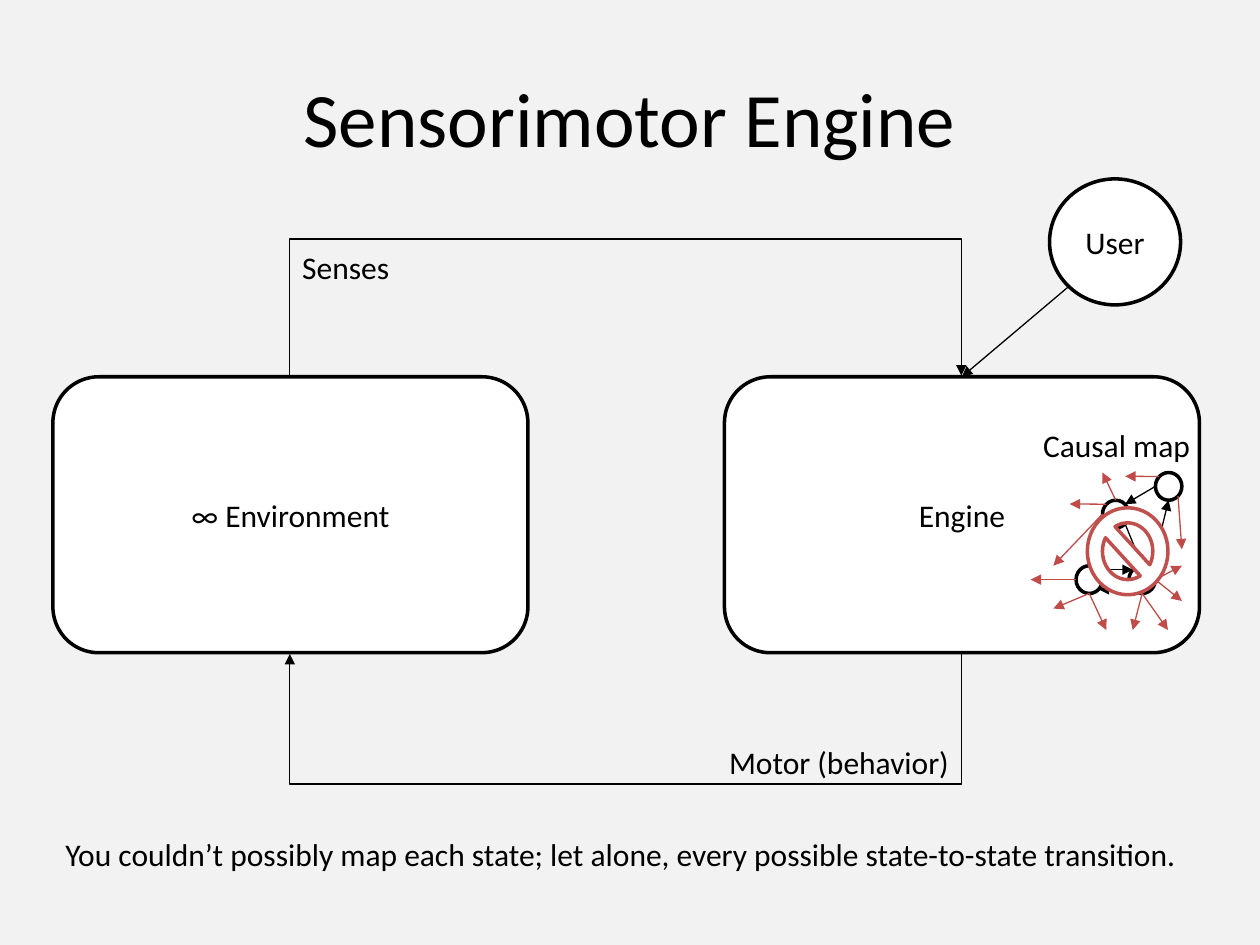
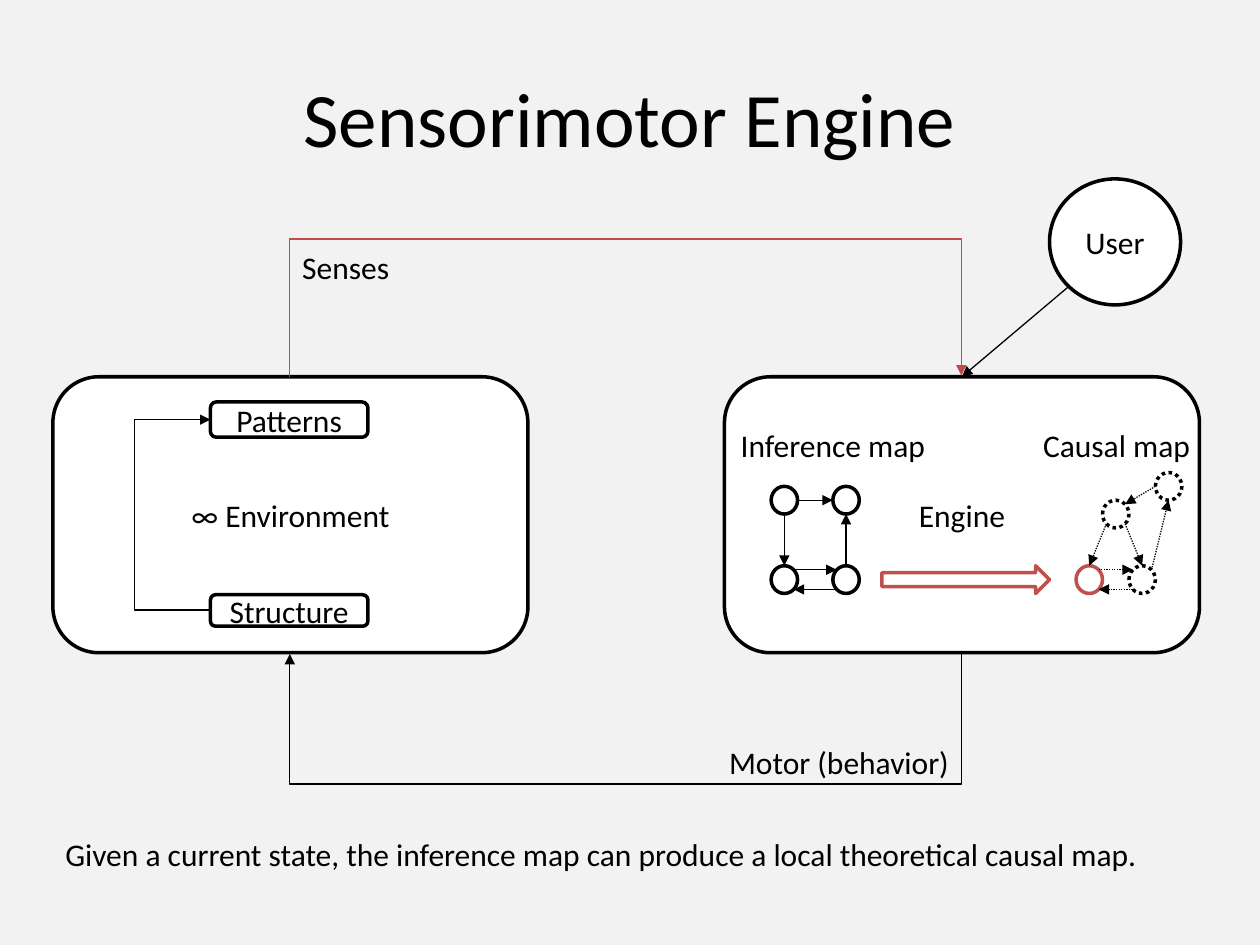
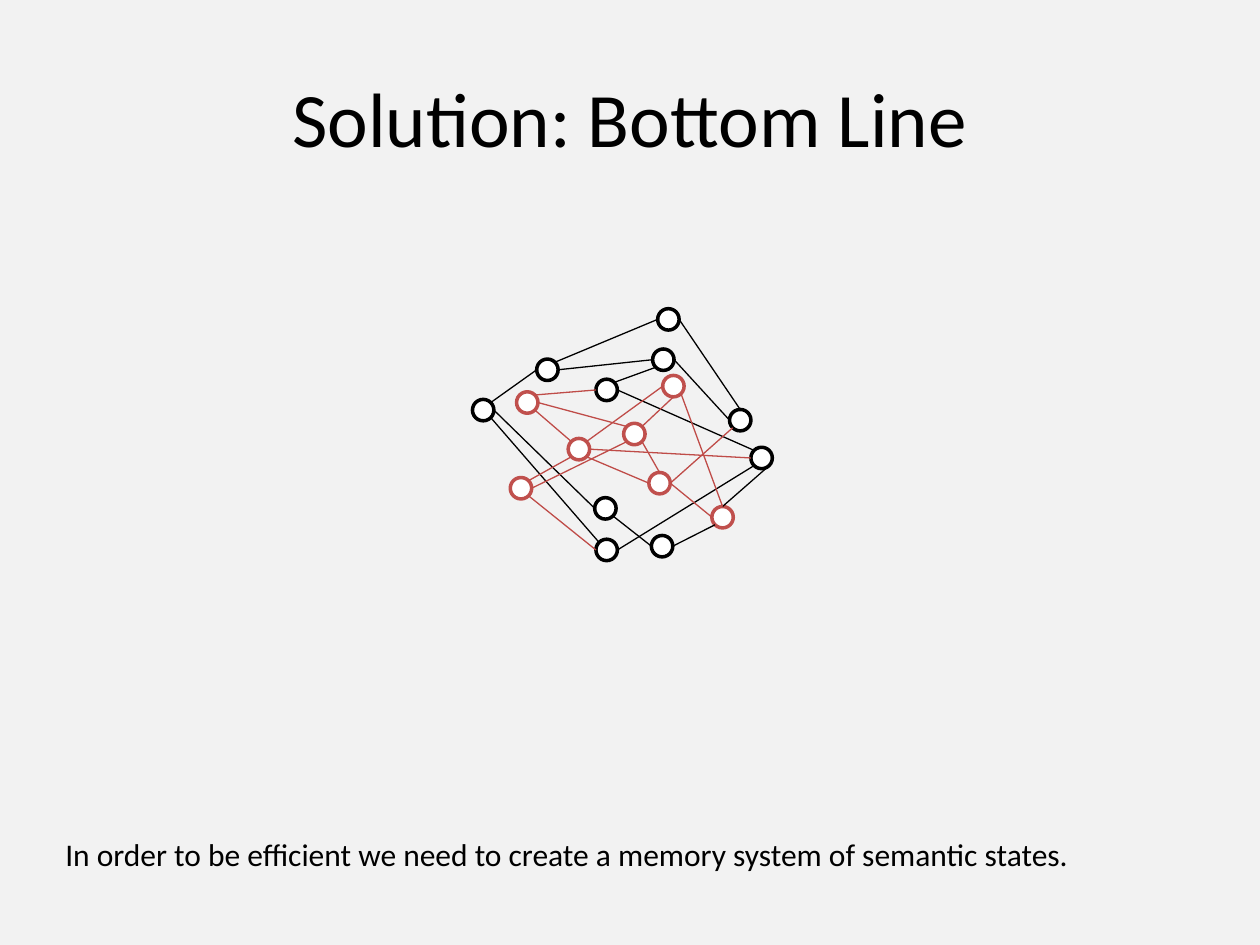
from lxml import etree
from pptx import Presentation, util as u
from pptx.dml.color import RGBColor
from pptx.enum import dml, shapes, text
from pptx.oxml import ns

BLACK = RGBColor(0x00, 0x00, 0x00)
WHITE = RGBColor(0xFF, 0xFF, 0xFF)
PAPER = RGBColor(0xF2, 0xF2, 0xF2)
RED = RGBColor(0xC0, 0x50, 0x4D)
RED_LINK = RGBColor(0xBF, 0x4C, 0x48)

KIND = shapes.MSO_SHAPE
CENTER = text.PP_ALIGN.CENTER
LEFT = text.PP_ALIGN.LEFT
RIGHT = text.PP_ALIGN.RIGHT
DOTTED = dml.MSO_LINE.ROUND_DOT
FONT = {"name": "Calibri", "bold": False, "italic": False}

DIAGONAL = 0.71
SITES = {
    "n": (0, -1), "e": (1, 0), "s": (0, 1), "w": (-1, 0),
    "ne": (DIAGONAL, -DIAGONAL), "se": (DIAGONAL, DIAGONAL),
    "sw": (-DIAGONAL, DIAGONAL), "nw": (-DIAGONAL, -DIAGONAL),
}

STATE = (0.21, 0.22)
CAUSAL_STATES = {"top": (8.75, 3.97), "right": (8.96, 4.49), "left": (8.54, 4.49), "far": (9.17, 3.75)}
CAUSAL_LINKS = [
    "top.se right.n", "top.sw left.n", "left.ne right.nw",
    "right.sw left.se", "right.ne far.s", "far.w top.ne",
]
ESCAPES = [
    ("left.w", 8.18, 4.6), ("left.s", 8.36, 4.83), ("left.s", 8.78, 5),
    ("right.s", 9.27, 5), ("right.s", 8.99, 5),
    ("right.e", 9.38, 4.77), ("right.e", 9.38, 4.49),
    ("top.w", 8.36, 4.49), ("top.nw", 8.49, 4), ("top.n", 8.75, 3.75),
    ("far.se", 9.38, 4.36), ("far.nw", 8.93, 3.78),
]
INFERENCE_STATES = {"a": (6.12, 3.86), "b": (6.61, 3.86), "c": (6.12, 4.49), "d": (6.61, 4.49)}
INFERENCE_LINKS = ["a.e b.w", "a.s c.n", "c.ne d.nw", "d.sw c.se", "d.n b.s"]

MEMORY = (0.17, 0.17)
PLAIN_MEMORIES = {
    "B": (3.75, 3.17), "D": (4.73, 3.01), "F": (4.26, 2.85), "H": (4.72, 3.95),
    "I": (4.73, 4.28), "J": (5.18, 2.77), "L": (5.22, 2.45), "N": (5.96, 3.55),
    "O": (5.17, 4.25), "P": (5.79, 3.25),
}
SEMANTIC_MEMORIES = {
    "A": (4.1, 3.11), "C": (4.05, 3.79), "E": (4.95, 3.36), "G": (4.51, 3.48),
    "K": (5.26, 2.98), "M": (5.15, 3.75), "Q": (5.65, 4.02),
}
PLAIN_LINKS = [
    "B.e H.w", "B.se I.nw", "B.ne F.w", "J.sw D.ne", "I.e N.sw", "D.e N.nw", "O.w H.se",
    "J.w F.e", "L.w F.ne", "Q.n N.se", "O.e Q.sw", "P.n L.e", "J.e P.w",
]
SEMANTIC_LINKS = [
    "A.ne D.w", "A.e E.nw", "C.e E.sw", "C.ne G.sw", "A.se G.nw", "C.se I.w", "G.ne K.w",
    "E.ne K.s", "E.se M.n", "G.se M.w", "G.e N.w", "M.e P.sw", "M.e Q.w", "Q.n K.se",
]


def inches(*values):
    return [u.Cm(2.54 * value) for value in values]


def write(frame, words, size=18, align=CENTER):
    frame.word_wrap = True
    para = frame.paragraphs[0]
    para.alignment = align
    span = para.add_run()
    span.text = words
    for name, value in FONT.items():
        setattr(span.font, name, value)
    span.font.size = u.Pt(size)
    span.font.color.rgb = BLACK


def stroke(line, color, width, dash=None):
    line.color.rgb = color
    line.width = u.Pt(width)
    if dash:
        line.dash_style = dash


def add_label(page, left, top, width, words, align=LEFT):
    box = page.shapes.add_textbox(*inches(left, top, width, 0.4))
    write(box.text_frame, words, align=align)
    box.text_frame.auto_size = text.MSO_AUTO_SIZE.SHAPE_TO_FIT_TEXT


def add_outline(page, kind, left, top, width, height, words="", color=BLACK, dash=None):
    shape = page.shapes.add_shape(kind, *inches(left, top, width, height))
    shape.shadow.inherit = False
    shape.fill.solid()
    shape.fill.fore_color.rgb = WHITE
    stroke(shape.line, color, 2, dash)
    if words:
        shape.text_frame.vertical_anchor = text.MSO_ANCHOR.MIDDLE
        write(shape.text_frame, words)
    return shape


def finish_connector(connector, color, dash, arrow):
    stroke(connector.line, color, 0.75, dash)
    if arrow:
        line = connector.line._get_or_add_ln()
        etree.SubElement(line, ns.qn("a:tailEnd"), type="triangle")
    etree.SubElement(connector._element.spPr, ns.qn("a:effectLst"))


def add_link(page, start, end, color=BLACK, dash=None, arrow=True):
    connector = page.shapes.add_connector(shapes.MSO_CONNECTOR.STRAIGHT, *start, *end)
    finish_connector(connector, color, dash, arrow)


def add_elbow(page, left, top, height, depth, turns, flipped=False, color=BLACK):
    width = 0.01
    connector = page.shapes.add_connector(
        shapes.MSO_CONNECTOR.ELBOW, *inches(left, top, left + width, top + height))
    properties = connector._element.spPr
    frame = properties.find(ns.qn("a:xfrm"))
    frame.set("rot", str(turns * 5400000))
    if flipped:
        frame.set("flipH", "1")
        frame.set("flipV", "1")
    guides = properties.find(ns.qn("a:prstGeom")).get_or_add_avLst()
    etree.SubElement(guides, ns.qn("a:gd"), name="adj1", fmla=f"val {round(depth / width * 100000)}")
    finish_connector(connector, color, None, True)


def site(shape, direction):
    across, down = SITES[direction]
    return (round(shape.left + shape.width * (1 + across) / 2),
            round(shape.top + shape.height * (1 + down) / 2))


def find_site(nodes, name):
    node, direction = name.split(".")
    return site(nodes[node], direction)


def add_nodes(page, places, size, kind=KIND.FLOWCHART_CONNECTOR, **style):
    return {name: add_outline(page, kind, *place, *size, **style) for name, place in places.items()}


def add_links(page, nodes, links, **style):
    for link in links:
        start, end = link.split()
        add_link(page, find_site(nodes, start), find_site(nodes, end), **style)


def add_page(deck, title, caption):
    page = deck.slides.add_slide(deck.slide_layouts[5])
    heading = page.shapes.title
    heading.left, heading.top, heading.width, heading.height = inches(0.5, 0.3, 9, 1.25)
    heading.text_frame.vertical_anchor = text.MSO_ANCHOR.MIDDLE
    write(heading.text_frame, title, size=44)
    add_label(page, 0.42, 6.58, 9.17, caption)
    return page


def add_engine_page(deck, caption, senses_color=BLACK, dash=None):
    page = add_page(deck, "Sensorimotor Engine", caption)
    engine = add_outline(page, KIND.ROUNDED_RECTANGLE, 5.75, 2.99, 3.77, 2.19, "Engine")
    add_outline(page, KIND.ROUNDED_RECTANGLE, 0.42, 2.99, 3.77, 2.19, "∞ Environment")
    add_elbow(page, 4.96, 0.32, 5.33, 1.11, turns=1, flipped=True, color=senses_color)
    add_elbow(page, 4.96, 2.52, 5.33, 1.06, turns=1)
    add_label(page, 2.3, 1.92, 2.25, "Senses")
    add_label(page, 4.55, 5.85, 3.08, "Motor (behavior)", RIGHT)
    user = add_outline(page, KIND.FLOWCHART_CONNECTOR, 8.33, 1.42, 1.04, 1, "User")
    add_link(page, site(user, "sw"), site(engine, "n"))
    add_label(page, 8.18, 3.33, 1.5, "Causal map")
    states = add_nodes(page, CAUSAL_STATES, STATE, dash=dash)
    add_links(page, states, CAUSAL_LINKS, dash=dash)
    return page, states


def build_impossible_map(deck):
    page, states = add_engine_page(
        deck, "You couldn’t possibly map each state; let alone, every possible state-to-state transition.")
    for start, left, top in ESCAPES:
        add_link(page, find_site(states, start), inches(left, top), color=RED_LINK)
    add_outline(page, KIND.NO_SYMBOL, 8.63, 4.03, 0.64, 0.69, color=RED)


def build_inference_map(deck):
    page, states = add_engine_page(
        deck, "Given a current state, the inference map can produce a local theoretical causal map.",
        senses_color=RED_LINK, dash=DOTTED)
    current = states["left"].line
    stroke(current, RED, 2, dml.MSO_LINE.SOLID)
    add_label(page, 5.78, 3.33, 1.85, "Inference map")
    add_links(page, add_nodes(page, INFERENCE_STATES, STATE), INFERENCE_LINKS)
    add_outline(page, KIND.RIGHT_ARROW, 7, 4.49, 1.33, 0.22, color=RED)
    add_outline(page, KIND.ROUNDED_RECTANGLE, 1.67, 4.72, 1.25, 0.25, "Structure")
    add_outline(page, KIND.ROUNDED_RECTANGLE, 1.67, 3.19, 1.25, 0.28, "Patterns")
    add_elbow(page, 1.67, 3.33, 1.51, 0.62, turns=2)


def build_memory(deck):
    page = add_page(
        deck, "Solution: Bottom Line",
        "In order to be efficient we need to create a memory system of semantic states.")
    memories = add_nodes(page, PLAIN_MEMORIES, MEMORY, KIND.OVAL)
    memories |= add_nodes(page, SEMANTIC_MEMORIES, MEMORY, KIND.OVAL, color=RED)
    add_links(page, memories, PLAIN_LINKS, arrow=False)
    add_links(page, memories, SEMANTIC_LINKS, color=RED_LINK, arrow=False)


def main():
    deck = Presentation()
    deck.slide_width, deck.slide_height = inches(10, 7.5)
    backdrop = deck.slide_master.background.fill
    backdrop.solid()
    backdrop.fore_color.rgb = PAPER
    build_impossible_map(deck)
    build_inference_map(deck)
    build_memory(deck)
    deck.save("out.pptx")


if __name__ == "__main__":
    main()
